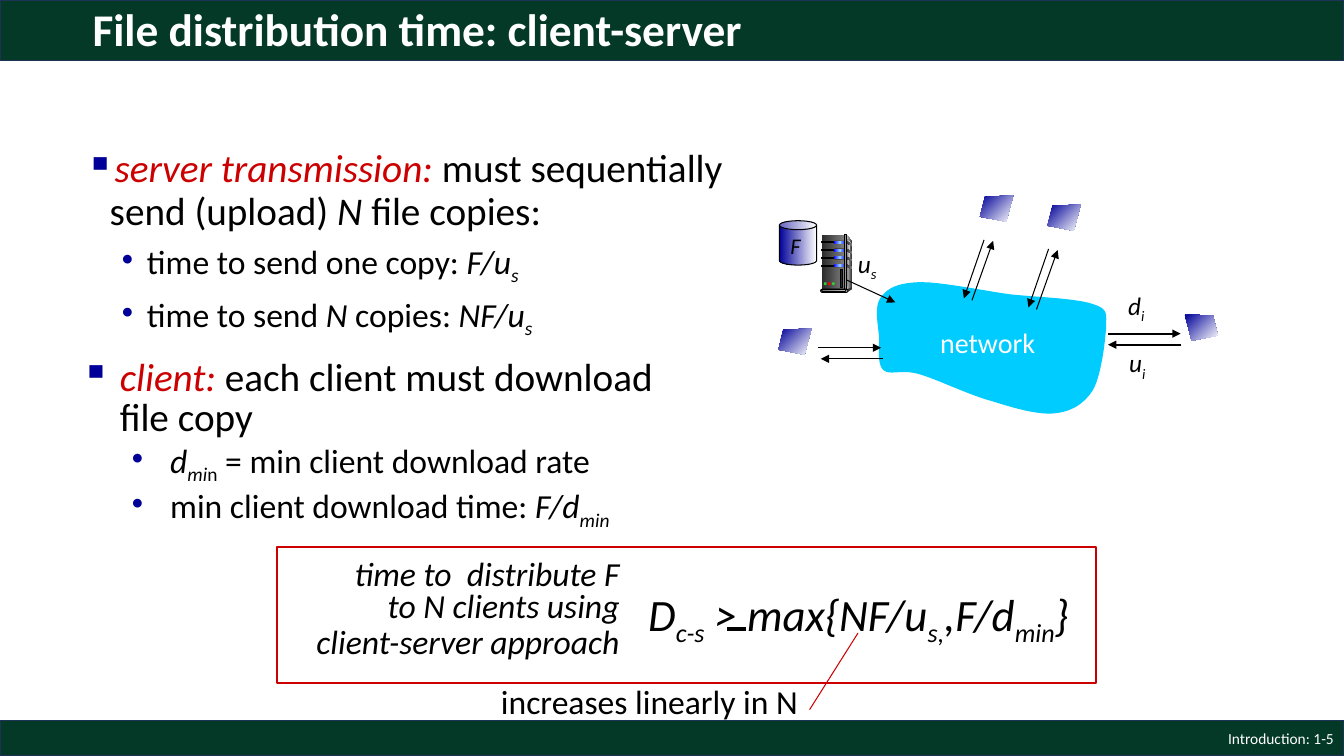
"""Build the slide on file distribution time in the client-server model."""
from copy import deepcopy

from lxml.etree import SubElement
from pptx import Presentation
from pptx.dml.color import RGBColor
from pptx.enum.shapes import MSO_CONNECTOR, MSO_SHAPE
from pptx.enum.text import MSO_ANCHOR, PP_ALIGN
from pptx.oxml.ns import qn
from pptx.util import Inches, Pt

BLACK = RGBColor(0x00, 0x00, 0x00)
WHITE = RGBColor(0xFF, 0xFF, 0xFF)
GREEN = RGBColor(0x04, 0x39, 0x27)
EDGE = RGBColor(0x1E, 0x32, 0x56)
RED = RGBColor(0xCC, 0x00, 0x00)
NAVY = RGBColor(0x00, 0x00, 0x99)
CYAN = RGBColor(0x00, 0xCC, 0xFF)
BLUE = RGBColor(0x00, 0x00, 0xFF)
SKY = RGBColor(0x99, 0xCC, 0xFF)
DARK = RGBColor(0x29, 0x29, 0x29)
CHARCOAL = RGBColor(0x33, 0x33, 0x33)
GREY = RGBColor(0x80, 0x80, 0x80)
SILVER = RGBColor(0xDD, 0xDD, 0xDD)
LAMP_GREEN = RGBColor(0x33, 0xCC, 0x33)
LAMP_RED = RGBColor(0xFF, 0x00, 0x00)

deck = Presentation()
deck.slide_width, deck.slide_height = Inches(13.33), Inches(7.5)
page = deck.slides.add_slide(deck.slide_layouts[6])
shapes = page.shapes


def paint(shape, colours, line=None, width=0.75, angle=0):
    """Fill with no, one or several colours, and outline the shape."""
    shape.shadow.inherit = False
    if not colours:
        shape.fill.background()
    elif len(colours) == 1:
        shape.fill.solid()
        shape.fill.fore_color.rgb = colours[0]
    else:
        shape.fill.gradient()
        stops = shape._element.spPr.find(".//" + qn("a:gsLst"))
        for _ in colours[2:]:
            stops[-1].addprevious(deepcopy(stops[0]))
        for index, stop in enumerate(shape.fill.gradient_stops):
            stop.position = index / (len(colours) - 1)
            stop.color.rgb = colours[index]
        shape.fill.gradient_angle = angle
    if line is None:
        shape.line.fill.background()
    else:
        shape.line.color.rgb = line
        shape.line.width = Pt(width)


def write(at, paragraphs, size, colour=BLACK, wrap=True, align=PP_ALIGN.LEFT,
          anchor=MSO_ANCHOR.TOP, bold=None, indent=(0, 0), spacing=None):
    """Add a text box; run styles are i (italic), s (subscript), r (red)."""
    frame = shapes.add_textbox(*map(Inches, at)).text_frame
    frame.word_wrap, frame.vertical_anchor = wrap, anchor
    for index, (runs, look) in enumerate(paragraphs):
        para = frame.add_paragraph() if index else frame.paragraphs[0]
        para.alignment = align
        if look.get("spacing", spacing):
            para.line_spacing = look.get("spacing", spacing)
        para.space_before = Pt(look.get("before", 0))
        props = para._p.get_or_add_pPr()
        left, hang = look.get("indent", indent)
        props.set("marL", str(Inches(left)))
        props.set("indent", str(Inches(-hang)))
        if "bullet" in look:
            tint = SubElement(SubElement(props, qn("a:buClr")), qn("a:srgbClr"))
            tint.set("val", str(NAVY))
            SubElement(props, qn("a:buChar")).set("char", look["bullet"])
        para.font.name = "Calibri"
        para.font.size = Pt(look.get("size", size))
        para.font.bold = bold
        same_slant = len({"i" in style for _, style in runs}) == 1
        if same_slant:
            para.font.italic = "i" in runs[0][1]
        same_colour = not any("r" in style for _, style in runs)
        if same_colour:
            para.font.color.rgb = colour
        for words, style in runs:
            span = para.add_run()
            span.text = words
            if not same_slant:
                span.font.italic = "i" in style
            if not same_colour:
                span.font.color.rgb = RED if "r" in style else colour
            if "s" in style:
                span.font._element.set("baseline", "-25000")


for top, height in ((0, 0.6), (7.15, 0.35)):
    bar = shapes.add_shape(MSO_SHAPE.RECTANGLE, 0, Inches(top), deck.slide_width, Inches(height))
    paint(bar, [GREEN], EDGE, 1)

cloud_curves = [
    (8.88, 2.81, 8.79, 2.87, 8.73, 2.96), (8.67, 3.05, 8.71, 3.23, 8.72, 3.35),
    (8.72, 3.46, 8.7, 3.61, 8.76, 3.67), (8.83, 3.73, 8.93, 3.66, 9.11, 3.71),
    (9.29, 3.76, 9.61, 3.92, 9.84, 3.98), (10.06, 4.05, 10.3, 4.12, 10.47, 4.1),
    (10.63, 4.08, 10.75, 4.01, 10.84, 3.87), (10.92, 3.73, 10.96, 3.41, 10.97, 3.26),
    (10.97, 3.12, 11, 3.07, 10.85, 3.02), (10.69, 2.96, 10.31, 2.95, 10.02, 2.92),
    (9.73, 2.88, 9.31, 2.79, 9.1, 2.8)]
cloud = [(9.1, 2.8)]
for ax, ay, bx, by, cx, cy in cloud_curves:
    x, y = cloud[-1]
    for t in (step / 12 for step in range(1, 13)):
        weights = ((1 - t) ** 3, 3 * t * (1 - t) ** 2, 3 * t * t * (1 - t), t ** 3)
        cloud.append((sum(w * v for w, v in zip(weights, (x, ax, bx, cx))),
                      sum(w * v for w, v in zip(weights, (y, ay, by, cy)))))

outlines = [
    (cloud, [CYAN], 0),
    ([(8.4, 2.33), (8.45, 2.4), (8.45, 2.85), (8.39, 2.87)], [SILVER, CHARCOAL], 0),
    ([(8.4, 2.37), (8.44, 2.41), (8.41, 2.65), (8.4, 2.86)], [GREY, WHITE], 0),
    ([(8.4, 2.87), (8.4, 2.9), (8.45, 2.87), (8.45, 2.85)], [CHARCOAL], 0)]
slots = [2.39 + 0.077 * row for row in range(4)]
for top in slots:
    side = [(8.39, top), (8.45, top + 0.03), (8.45, top + 0.05), (8.39, top + 0.02)]
    outlines.append((side, [DARK, GREY], 0))
screen = [(0.33, 0), (0.05, 0.01), (0, 0.21), (0.26, 0.26)]
for left, top, mirrored in ((7.72, 3.26, False), (9.72, 1.94, False),
                            (10.39, 2.03, False), (11.75, 3.12, True)):
    corners = [(left + (0.33 - dx if mirrored else dx), top + dy) for dx, dy in screen]
    outlines.append((corners, [NAVY, WHITE], 315))
for points, colours, angle in outlines:
    points = [(Inches(x), Inches(y)) for x, y in points]
    builder = shapes.build_freeform(*points[0], scale=1.0)
    builder.add_line_segments(points[1:], close=True)
    paint(builder.convert_to_shape(), colours, angle=angle)

arrows = [
    (8.38, 2.77, 8.88, 3, BLACK, 0.75, True), (8.11, 3.45, 8.74, 3.45, BLACK, 0.75, True),
    (8.76, 3.56, 8.14, 3.56, BLACK, 0.75, True), (10.4, 2.47, 10.2, 3.05, BLACK, 0.75, True),
    (10.28, 3.07, 10.49, 2.48, BLACK, 0.75, True), (9.76, 2.38, 9.56, 2.96, BLACK, 0.75, True),
    (9.64, 2.98, 9.85, 2.39, BLACK, 0.75, True), (10.99, 3.31, 11.71, 3.31, BLACK, 1.5, True),
    (11.71, 3.42, 10.99, 3.42, BLACK, 1.5, True), (8.03, 7.04, 8.51, 6.28, RED, 0.75, False),
    (7.21, 6.24, 7.4, 6.24, BLACK, 2.25, False)]
for *ends, colour, width, pointed in arrows:
    arrow = shapes.add_connector(MSO_CONNECTOR.STRAIGHT, *map(Inches, ends))
    arrow.line.color.rgb, arrow.line.width = colour, Pt(width)
    if pointed:
        SubElement(arrow.line._get_or_add_ln(), qn("a:tailEnd")).set("type", "triangle")
    SubElement(arrow._element.spPr, qn("a:effectLst"))

RECT, PILL, OVAL = MSO_SHAPE.RECTANGLE, MSO_SHAPE.ROUNDED_RECTANGLE, MSO_SHAPE.OVAL
parts = [(MSO_SHAPE.CAN, 7.73, 2.19, 0.37, 0.44, [NAVY, WHITE], BLACK),
         (RECT, 8.15, 2.33, 0.23, 0.54, [DARK, GREY], None)]
for top in slots:
    parts += [(RECT, 8.15, top + 0.01, 0.13, 0.01, [BLACK], BLACK),
              (PILL, 8.27, top, 0.13, 0.03, [BLACK], None),
              (PILL, 8.27, top, 0.12, 0.03, [BLUE, SKY, BLUE], None)]
parts += [(RECT, 8.38, 2.33, 0.02, 0.54, [CHARCOAL, SILVER, CHARCOAL], BLACK),
          (OVAL, 8.44, 2.85, 0.01, 0.02, [CHARCOAL], None),
          (PILL, 8.14, 2.87, 0.27, 0.03, [SILVER], BLACK),
          (PILL, 8.15, 2.87, 0.24, 0.02, [GREY, SILVER], BLACK),
          (RECT, 8.34, 2.67, 0.02, 0.18, [DARK], BLACK)]
for index, colour in enumerate((LAMP_GREEN, LAMP_RED, LAMP_GREEN)):
    parts.append((OVAL, 8.17 + 0.04 * index, 2.8, 0.03, 0.03, [colour], None))
for kind, left, top, width, height, colours, line in parts:
    part = shapes.add_shape(kind, *map(Inches, (left, top, width, height)))
    if kind in (PILL, MSO_SHAPE.CAN):
        part.adjustments[0] = 0.5 if kind == PILL else 0.24
    paint(part, colours, line)
frame_box = shapes.add_shape(RECT, *map(Inches, (2.75, 5.43, 8.12, 1.35)))
paint(frame_box, [], RED, 1.5)

write((0.82, 0.05, 11.5, 0.54), [([("File distribution time: client-server", "")], {})],
      32.4, WHITE, anchor=MSO_ANCHOR.MIDDLE, bold=True, spacing=0.9)
write((10.33, 7.15, 3, 0.35), [([("Introduction: 1-5", "")], {})],
      11, WHITE, align=PP_ALIGN.RIGHT, anchor=MSO_ANCHOR.MIDDLE)
server_item = {"bullet": "•", "indent": (0.76, 0.25), "before": 5, "size": 24}
write((0.6, 1.43, 6.67, 2.2), [
    ([("server transmission: ", "ir"), ("must sequentially send (upload) ", ""),
      ("N ", "i"), ("file copies:", "")],
     {"bullet": "▪", "indent": (0.39, 0.24), "spacing": 0.9}),
    ([("time to send one copy: ", ""), ("F/u", "i"), ("s", "is")], server_item),
    ([("time to send ", ""), ("N", "i"), (" copies: ", ""), ("NF/u", "i"), ("s", "is")],
     server_item)], 28)
client_item = {"bullet": "•", "indent": (0.88, 0.38), "spacing": 0.99, "size": 24}
write((0.71, 3.52, 6.31, 2.2), [
    ([("client: ", "ir"), ("each client must download file copy", "")],
     {"bullet": "▪", "indent": (0.38, 0.38), "spacing": 0.85}),
    ([("d", "i"), ("mi", "is"), ("n", "s"), (" = min client download rate", "")], client_item),
    ([("min client download time: ", ""), ("F/d", "i"), ("min", "is")], client_item)], 28)
for at, letter, index in (((8.41, 2.41, 0.4, 0.4), "u", "s"), ((11.09, 2.83, 0.49, 0.4), "d", "i"),
                          ((11.1, 3.4, 0.55, 0.4), "u", "i")):
    write(at, [([(letter, "i"), (index, "is")], {})], 18, wrap=False)
write((9.22, 3.18, 1.15, 0.44), [([("network", "")], {})], 20, WHITE, False, PP_ALIGN.CENTER)
write((7.46, 2.25, 0.86, 0.37), [([("F", "i")], {})], 16, align=PP_ALIGN.CENTER)
write((4.87, 6.78, 3.18, 0.43), [([("increases linearly in N", "")], {})],
      24, wrap=False, indent=(0.38, 0.38), spacing=0.8)
write((2.99, 5.51, 3.33, 1.13), [
    ([("time to  distribute F ", "i")], {}), ([("to N clients using ", "i")], {}),
    ([("client-server approach ", "i")], {"before": 3})],
    24, wrap=False, align=PP_ALIGN.RIGHT, indent=(0.38, 0.38), spacing=0.8)
write((6.23, 5.77, 4.75, 0.64), [
    ([(" D", "i"), ("c-s", "is"), (" > max{NF/u", "i"), ("s,", "is"), (",F/d", "i"),
      ("min", "is"), ("}", "i")], {})], 32, wrap=False, indent=(0.38, 0.38))
deck.save("out.pptx")
